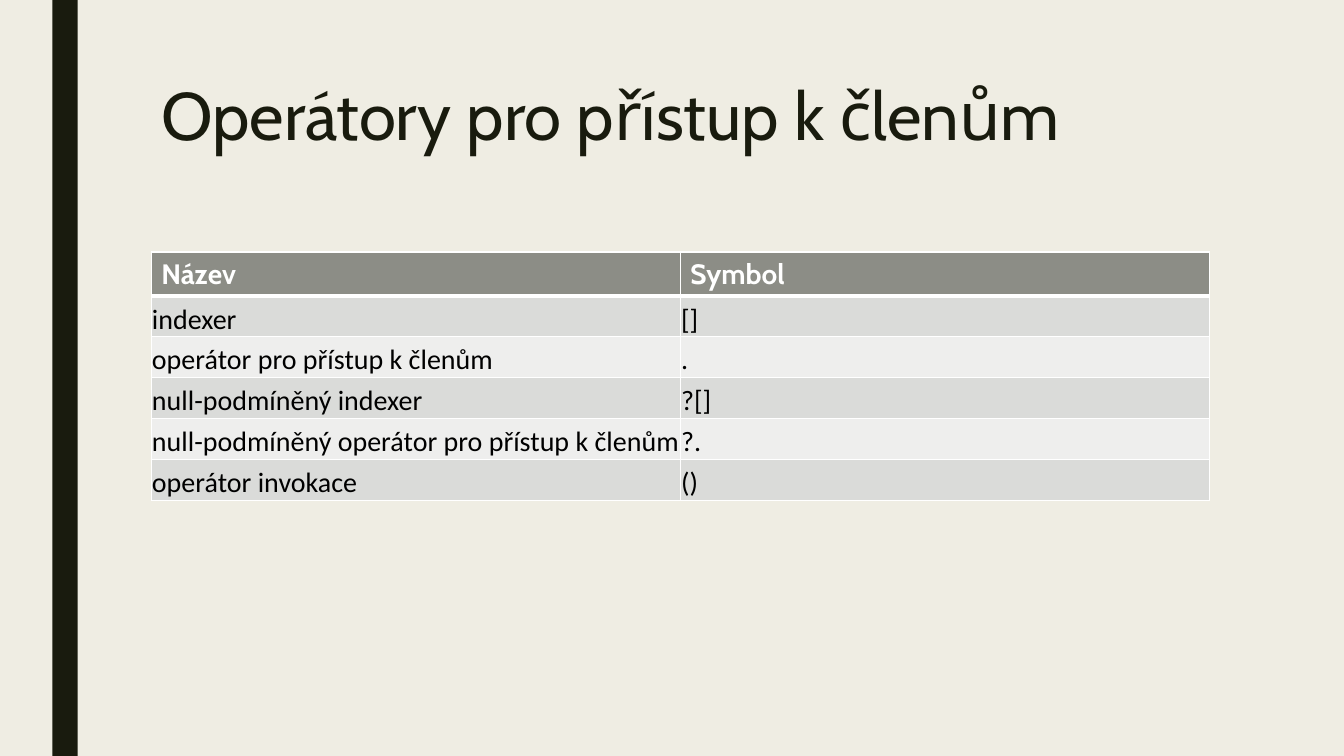
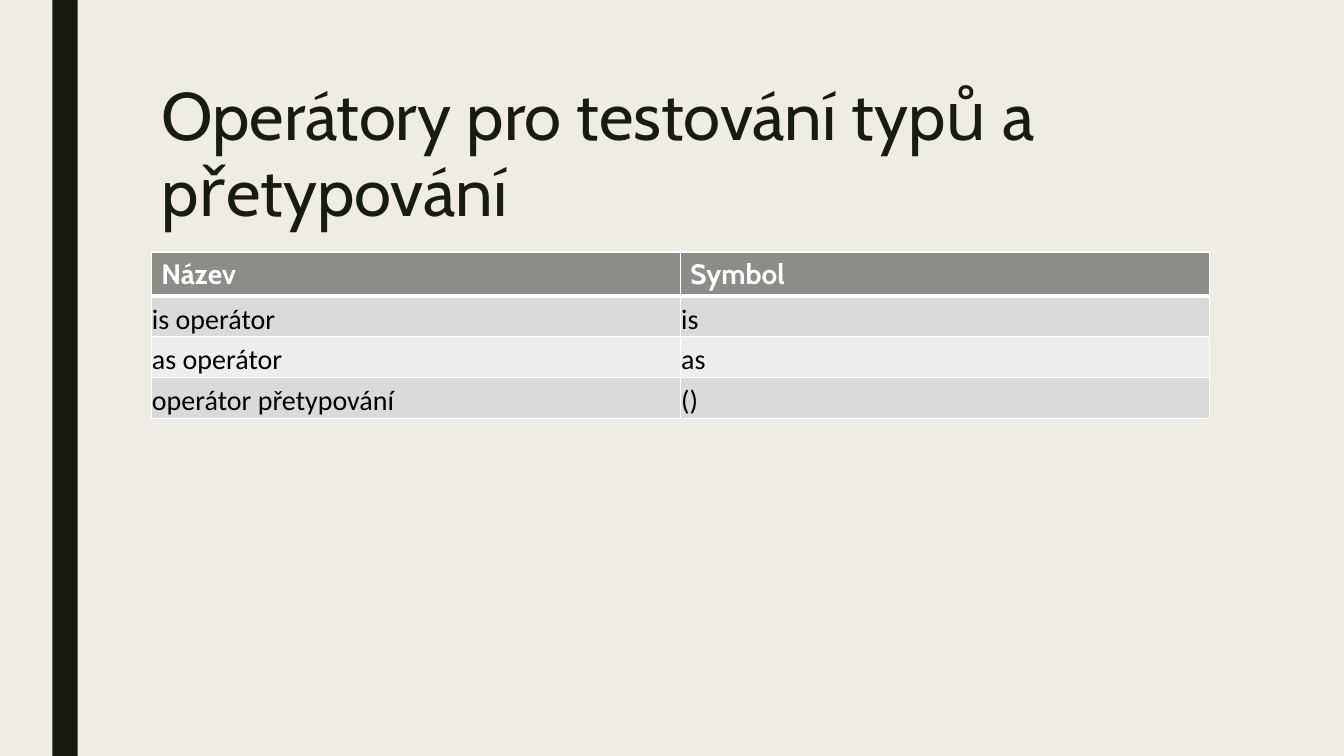
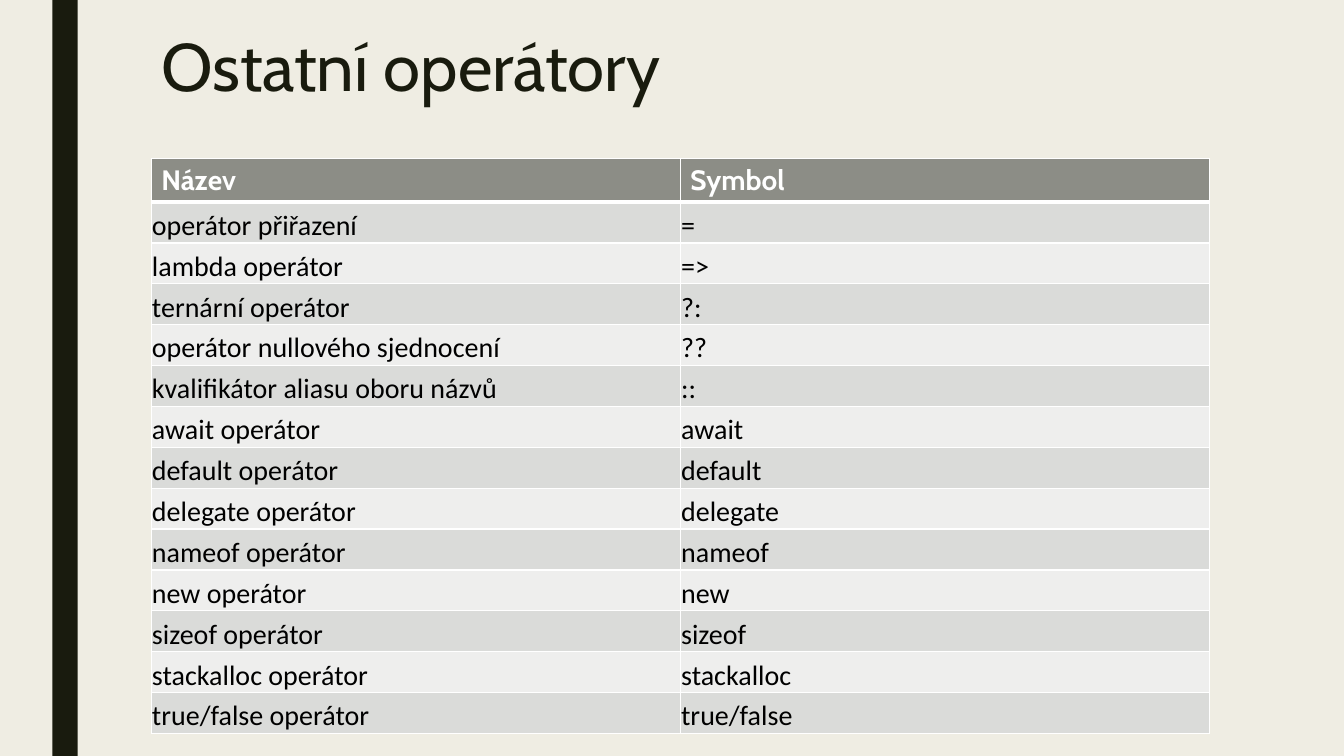
import pptx
import pptx.dml.color
import pptx.enum.shapes
import pptx.enum.text
import pptx.oxml
import pptx.oxml.ns
import pptx.util
from pptx.util import Cm

COLORS = {
    "background": "EFEDE3",
    "dark": "191B0E",
    "header": "8C8D86",
    "odd": "DADBD9",
    "even": "EEEEED",
    "white": "FFFFFF",
    "black": "000000",
}
HEADER = ("Název", "Symbol")
LEFT, WIDTH = Cm(3.81), Cm(26.67)
ROW_HEIGHT = Cm(1.03)
THIN, THICK = 1, 3

MEMBER_ACCESS = [
    ("indexer", "[]"),
    ("operátor pro přístup k členům", "."),
    ("null-podmíněný indexer", "?[]"),
    ("null-podmíněný operátor pro přístup k členům", "?."),
    ("operátor invokace", "()"),
]
TYPE_TESTING = [
    ("is operátor", "is"),
    ("as operátor", "as"),
    ("operátor přetypování", "()"),
]
KEYWORDS = ["await", "default", "delegate", "nameof", "new", "sizeof",
            "stackalloc", "true/false"]
OTHERS = [
    ("operátor přiřazení", "="),
    ("lambda operátor", "=>"),
    ("ternární operátor", "?:"),
    ("operátor nullového sjednocení", "??"),
    ("kvalifikátor aliasu oboru názvů", "::"),
] + [(f"{word} operátor", word) for word in KEYWORDS]


def rgb(name):
    return pptx.dml.color.RGBColor.from_string(COLORS[name])


class Deck:
    """Holds the shared style and the slide being built."""

    def __init__(self):
        self.prs = pptx.Presentation()
        self.prs.slide_width, self.prs.slide_height = Cm(33.87), Cm(19.05)
        self.s = None

    def slide(self):
        """Start a slide with the background and the vertical band."""
        self.s = self.prs.slides.add_slide(self.prs.slide_layouts[6])
        self.paint(self.s.background.fill, "background")
        sp = self.s.shapes.add_shape(
            pptx.enum.shapes.MSO_SHAPE.RECTANGLE,
            Cm(1.32), 0, Cm(0.64), self.prs.slide_height)
        sp.shadow.inherit = False
        self.paint(sp.fill, "dark")
        sp.line.fill.background()

    def paint(self, fill, color):
        fill.solid()
        fill.fore_color.rgb = rgb(color)

    def format(self, p, size, font, color, bold=False):
        for r in p.runs:
            r.font.size = pptx.util.Pt(size)
            r.font.name = font
            r.font.bold = bold
            r.font.color.rgb = rgb(color)

    def title(self, text, top, height, line_spacing):
        sp = self.s.shapes.add_textbox(LEFT, top, WIDTH, height)
        tf = sp.text_frame
        tf.word_wrap = True
        tf.text = text
        p = tf.paragraphs[0]
        p.line_spacing = line_spacing
        self.format(p, 48, "Cabin", "dark")

    def borders(self, cell, top, bottom):
        """Draw white cell borders; must precede the cell fill."""
        tcPr = cell._tc.get_or_add_tcPr()
        widths = {"L": THIN, "R": THIN, "T": top, "B": bottom}
        for side, width in widths.items():
            tcPr.append(pptx.oxml.parse_xml(
                f'<a:ln{side} {pptx.oxml.ns.nsdecls("a")} '
                f'w="{pptx.util.Pt(width)}"><a:solidFill>'
                f'<a:srgbClr val="{COLORS["white"]}"/></a:solidFill>'
                f'</a:ln{side}>'))

    def header_cell(self, cell):
        self.borders(cell, THIN, THICK)
        self.paint(cell.fill, "header")
        self.format(cell.text_frame.paragraphs[0], 20, "Cabin", "white", True)

    def body_cell(self, cell, row):
        self.borders(cell, THICK if row == 1 else THIN, THIN)
        self.paint(cell.fill, "odd" if row % 2 else "even")
        cell.vertical_anchor = pptx.enum.text.MSO_ANCHOR.BOTTOM
        cell.margin_left = cell.margin_right = cell.margin_top = Cm(0.02)
        cell.margin_bottom = 0
        self.format(cell.text_frame.paragraphs[0], 20, "Calibri", "black")

    def table(self, body, top):
        rows = [HEADER] + body
        table = self.s.shapes.add_table(
            len(rows), len(HEADER), LEFT, top, WIDTH,
            ROW_HEIGHT * len(rows)).table
        for i, texts in enumerate(rows):
            table.rows[i].height = ROW_HEIGHT
            for j, text in enumerate(texts):
                cell = table.cell(i, j)
                cell.text_frame.text = text
                if i == 0:
                    self.header_cell(cell)
                else:
                    self.body_cell(cell, i)


def main():
    deck = Deck()
    for title, body in (
            ("Operátory pro přístup k členům", MEMBER_ACCESS),
            ("Operátory pro testování typů a přetypování", TYPE_TESTING)):
        deck.slide()
        deck.title(title, Cm(1.9), Cm(4.11), 0.94)
        deck.table(body, Cm(6.35))

    deck.slide()
    deck.title("Ostatní operátory", Cm(0.74), Cm(2.34), 0.89)
    deck.table(OTHERS, Cm(3.99))
    deck.prs.save("out.pptx")


if __name__ == "__main__":
    main()
